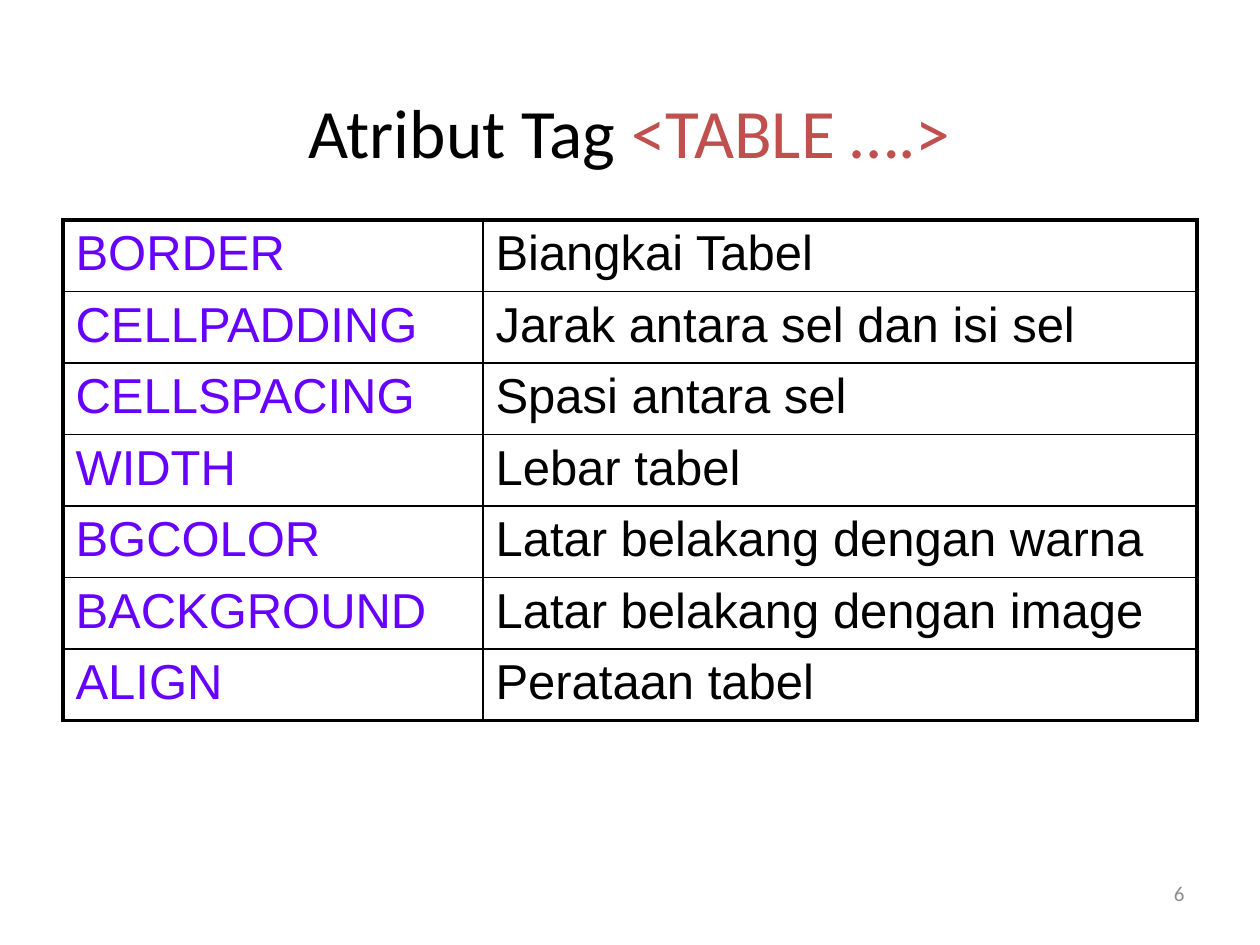
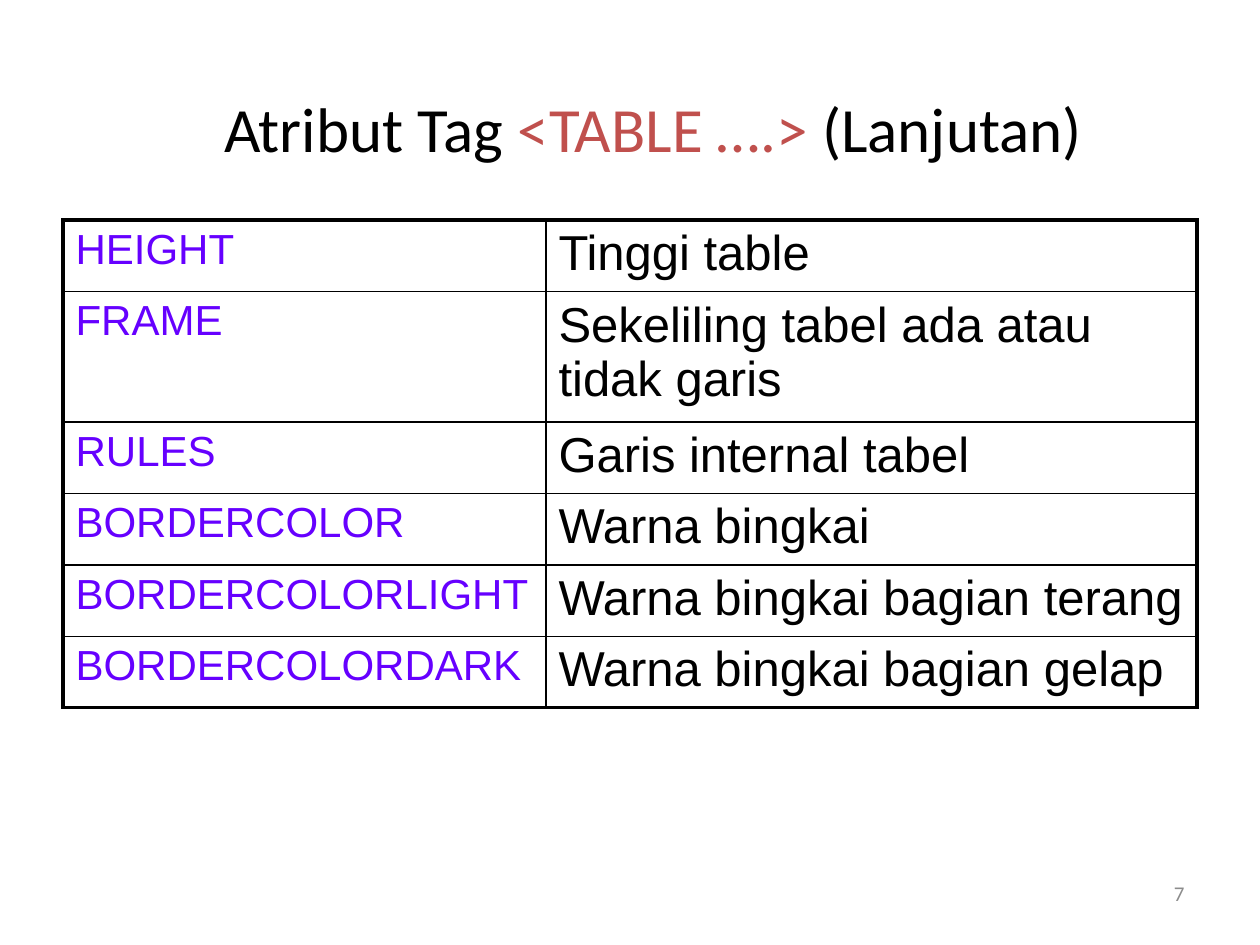
import pptx
import pptx.util
import pptx.dml.color
import pptx.enum.text
import pptx.oxml.ns
from lxml import etree

PX = 914400 / 126  # EMU in one px
COLORS = {"ink": "000000", "tag": "C0504D", "attribute": "6600FF", "page": "8C8C8C"}
HEADING_FONT, TABLE_FONT = "Calibri", "Arial"
ALIGN = pptx.enum.text.PP_ALIGN
ANCHOR = pptx.enum.text.MSO_ANCHOR

TABLE_BOX = (63, 220, 1134, 500)
PAGE_BOX = (903, 861, 294, 65)
ROWS_PER_BOX = 7
OUTER_LINE, INNER_LINE = 2.25, 1


def px(length):
    return pptx.util.Emu(round(length * PX))


def write(frame, runs, *, size, font=HEADING_FONT, align=ALIGN.LEFT):
    """Fill the first paragraph with (text, colour name) runs."""
    frame.word_wrap = True
    paragraph = frame.paragraphs[0]
    paragraph.alignment = align
    for text, color in runs:
        run = paragraph.add_run()
        run.text = text
        run.font.name = font
        run.font.size = pptx.util.Pt(size)
        run.font.color.rgb = pptx.dml.color.RGBColor.from_string(COLORS[color])


def add_text(slide, box, runs, **text_format):
    frame = slide.shapes.add_textbox(*map(px, box)).text_frame
    frame.vertical_anchor = ANCHOR.MIDDLE
    write(frame, runs, **text_format)


def set_borders(cell, widths):
    """Draw the cell's edges; widths maps L, R, T, B to points."""
    properties = cell._tc.get_or_add_tcPr()
    for side, width in widths.items():
        line = etree.SubElement(properties, pptx.oxml.ns.qn(f"a:ln{side}"),
                                w=str(pptx.util.Pt(width)))
        fill = etree.SubElement(line, pptx.oxml.ns.qn("a:solidFill"))
        etree.SubElement(fill, pptx.oxml.ns.qn("a:srgbClr"), val=COLORS["ink"])


def add_attribute_table(slide, box, entries, *, name_width, name_size, tall_rows):
    left, top, width, height = box
    row_height = height / ROWS_PER_BOX
    heights = [tall_rows.get(i, row_height) for i in range(len(entries))]
    table = slide.shapes.add_table(
        len(entries), 2, px(left), px(top), px(width), px(sum(heights))).table
    table.first_row = table.horz_banding = False
    table.columns[0].width = px(name_width)
    table.columns[1].width = px(width - name_width)

    columns = (("attribute", name_size), ("ink", 28))
    last_row = len(entries) - 1
    for r, entry in enumerate(entries):
        table.rows[r].height = px(heights[r])
        for c, (text, (color, size)) in enumerate(zip(entry, columns)):
            cell = table.cell(r, c)
            on_edge = {"L": c == 0, "R": c == 1, "T": r == 0, "B": r == last_row}
            set_borders(cell, {side: OUTER_LINE if outer else INNER_LINE
                               for side, outer in on_edge.items()})
            cell.fill.background()
            write(cell.text_frame, [(text, color)], size=size, font=TABLE_FONT)


def add_attribute_slide(deck, page, entries, *, title_box, title_size,
                        title_end="", name_width, name_size, tall_rows=None):
    slide = deck.slides.add_slide(deck.slide_layouts[6])
    # Title with the tag highlighted
    title = [("Atribut Tag ", "ink"), ("<TABLE ….>", "tag")]
    if title_end:
        title.append((title_end, "ink"))
    add_text(slide, title_box, title, size=title_size, align=ALIGN.CENTER)
    # Attributes and their meaning
    add_attribute_table(slide, TABLE_BOX, entries, name_width=name_width,
                        name_size=name_size, tall_rows=tall_rows or {})
    # Page number
    add_text(slide, PAGE_BOX, [(str(page), "page")], size=12, align=ALIGN.RIGHT)


def main():
    deck = pptx.Presentation()
    deck.slide_width, deck.slide_height = px(1260), px(945)

    add_attribute_slide(deck, 6, [
        ("BORDER", "Biangkai Tabel"),
        ("CELLPADDING", "Jarak antara sel dan isi sel"),
        ("CELLSPACING", "Spasi antara sel"),
        ("WIDTH", "Lebar tabel"),
        ("BGCOLOR", "Latar belakang dengan warna"),
        ("BACKGROUND", "Latar belakang dengan image"),
        ("ALIGN", "Perataan tabel"),
    ], title_box=(118, 81, 1023, 100), title_size=39.6, name_width=420, name_size=28)

    add_attribute_slide(deck, 7, [
        ("HEIGHT", "Tinggi table"),
        ("FRAME", "Sekeliling tabel ada atau tidak garis"),
        ("RULES", "Garis internal tabel"),
        ("BORDERCOLOR", "Warna bingkai"),
        ("BORDERCOLORLIGHT", "Warna bingkai bagian terang"),
        ("BORDERCOLORDARK", "Warna bingkai bagian gelap"),
    ], title_box=(144, 57, 1018, 141), title_size=36, title_end=" (Lanjutan)",
        name_width=483, name_size=24, tall_rows={1: 121})

    deck.save("out.pptx")


if __name__ == "__main__":
    main()
